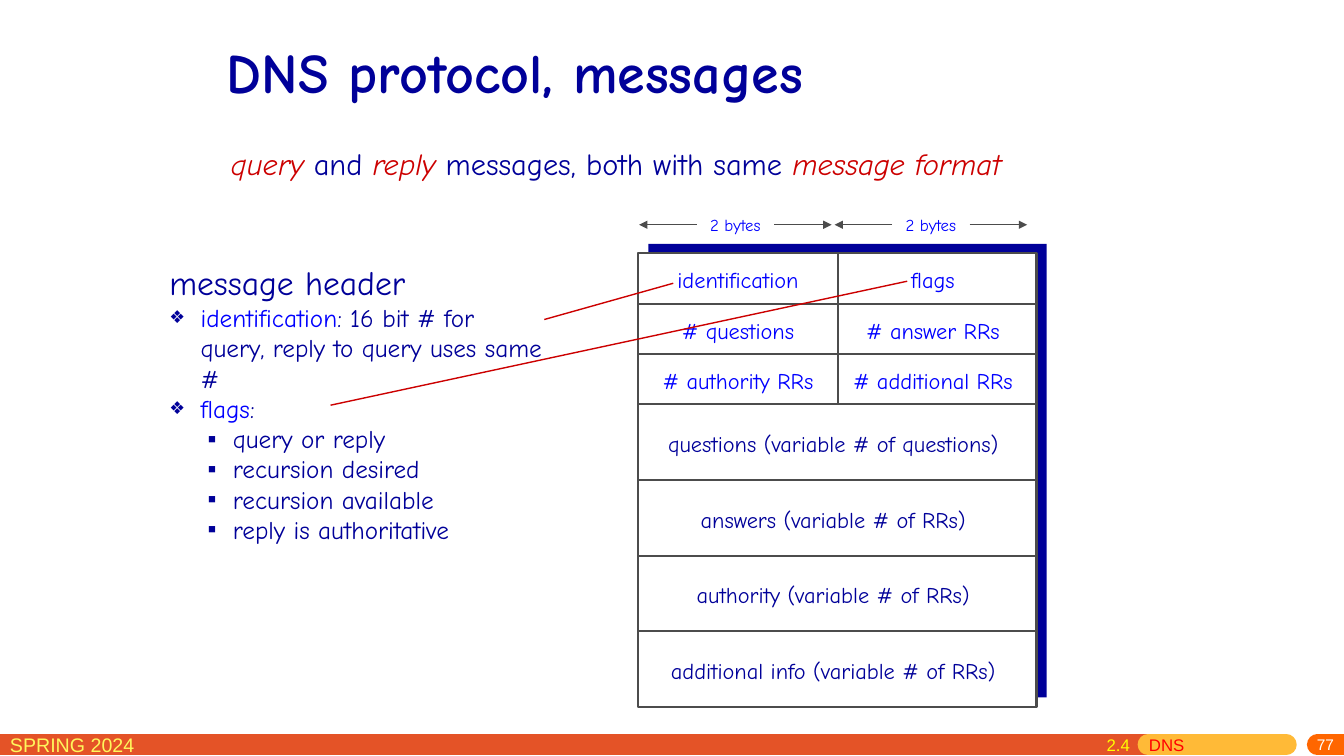
from lxml import etree
from pptx import Presentation
from pptx.dml.color import RGBColor
from pptx.enum.shapes import MSO_CONNECTOR as Connector, MSO_SHAPE as Shape
from pptx.enum.text import MSO_ANCHOR as Anchor, MSO_AUTO_SIZE as AutoSize, PP_ALIGN as Align
from pptx.oxml.ns import qn
from pptx.util import Inches, Pt

NAVY = RGBColor(0x00, 0x00, 0x99)
BLUE = RGBColor(0x00, 0x00, 0xFF)
RED = RGBColor(0xCC, 0x00, 0x00)
BRIGHT_RED = RGBColor(0xFF, 0x00, 0x00)
GRAY = RGBColor(0x4C, 0x4C, 0x4C)
WHITE = RGBColor(0xFF, 0xFF, 0xFF)
YELLOW = RGBColor(0xFF, 0xFF, 0x00)
PALE_YELLOW = RGBColor(0xFF, 0xF6, 0x5C)
BRICK = RGBColor(0xE4, 0x53, 0x27)
AMBER = RGBColor(0xFF, 0xBA, 0x37)
ORANGE = RGBColor(0xFF, 0x66, 0x00)

COLUMNS, ROWS = 40, 30
TABLE_LEFT, TABLE_MIDDLE, TABLE_RIGHT = 19, 24.93, 30.85
LABEL_RIGHT = 30.6
TABLE_TOP = 10.05
FOOTER_ROW = 29.55


def add_element(parent, tag, **attributes):
    return etree.SubElement(parent, qn(tag), {key: str(value) for key, value in attributes.items()})


def add_text(paragraph, text, color=NAVY, size=16, font="Comic Neue", bold=False, italic=False):
    run = paragraph.add_run()
    run.text = text
    run.font.name, run.font.size = font, Pt(size)
    run.font.bold, run.font.italic = bold, italic
    run.font.color.rgb = color


def set_bullet(paragraph, character, margin, hanging, percent=100):
    """Give the paragraph a navy bullet; margin and hanging are in inches."""
    properties = paragraph._p.get_or_add_pPr()
    properties.set("marL", str(Inches(margin)))
    properties.set("indent", str(-Inches(hanging)))
    if not character:
        add_element(properties, "a:buNone")
        return
    color = add_element(properties, "a:buClr")
    add_element(color, "a:srgbClr", val=NAVY)
    add_element(properties, "a:buSzPct", val=percent * 1000)
    add_element(properties, "a:buChar", char=character)


class GridSlide:
    """Places elements on a slide, with lengths in grid columns and rows."""

    def __init__(self, presentation):
        self.column = presentation.slide_width / COLUMNS
        self.row = presentation.slide_height / ROWS
        self.slide = presentation.slides.add_slide(presentation.slide_layouts[3])

    def x(self, columns):
        return round(columns * self.column)

    def y(self, rows):
        return round(rows * self.row)

    def placeholder(self, index, left, top, width, height, anchor=Anchor.TOP):
        shape = self.slide.placeholders[index]
        shape.left, shape.top = self.x(left), self.y(top)
        shape.width, shape.height = self.x(width), self.y(height)
        frame = shape.text_frame
        frame.auto_size, frame.word_wrap = AutoSize.NONE, True
        frame.vertical_anchor = anchor
        return frame

    def label(self, text, left, middle, right, height=1.5, align=Align.CENTER, inset=0, **style):
        """Add a text box centred on the row given as middle."""
        box = self.slide.shapes.add_textbox(self.x(left), self.y(middle - height / 2),
                                            self.x(right - left), self.y(height))
        frame = box.text_frame
        frame.word_wrap, frame.vertical_anchor = True, Anchor.MIDDLE
        frame.margin_top = frame.margin_bottom = 0
        frame.margin_left = frame.margin_right = Inches(inset)
        paragraph = frame.paragraphs[0]
        paragraph.alignment = align
        add_text(paragraph, text, **style)
        return paragraph

    def line(self, start, end, color=GRAY, width=1.5, arrow=False, rounded=False):
        connector = self.slide.shapes.add_connector(
            Connector.STRAIGHT, self.x(start[0]), self.y(start[1]), self.x(end[0]), self.y(end[1]))
        connector.line.color.rgb, connector.line.width = color, Pt(width)
        outline = connector.line._get_or_add_ln()
        if rounded:
            outline.set("cap", "rnd")
        if arrow:
            add_element(outline, "a:tailEnd", type="triangle")
        add_element(connector._element.spPr, "a:effectLst")

    def rectangle(self, left, top, right, bottom, fill, outline=None):
        shape = self.slide.shapes.add_shape(Shape.RECTANGLE, self.x(left), self.y(top),
                                            self.x(right - left), self.y(bottom - top))
        shape.shadow.inherit = False
        shape.fill.solid()
        shape.fill.fore_color.rgb = fill
        if outline is None:
            shape.line.fill.background()
        else:
            shape.line.color.rgb, shape.line.width = outline, Pt(1.5)


def add_footer(grid):
    for start, end, color in ((0, 34.17, BRICK), (34.17, 38.28, AMBER), (39.21, 40, ORANGE)):
        grid.line((start, FOOTER_ROW), (end, FOOTER_ROW), color, width=15, rounded=True)
    footer = {"height": 0.9, "inset": 0.1, "font": "Arial"}
    grid.label("SPRING 2024", 0, FOOTER_ROW, 7, align=Align.LEFT, size=14, color=PALE_YELLOW, **footer)
    grid.label("77", 38.8, FOOTER_ROW, 40, align=Align.RIGHT, size=11, color=WHITE, **footer)
    section = grid.label("2.4\t", 32.64, FOOTER_ROW, 38.6, align=Align.LEFT, size=12, color=YELLOW, **footer)
    add_text(section, "DNS", BRIGHT_RED, 12, "Arial")
    tabs = add_element(section._p.get_or_add_pPr(), "a:tabLst")
    add_element(tabs, "a:tab", pos=Inches(0.42), algn="l")


def add_headings(grid):
    title = grid.placeholder(0, 6.45, 0.96, 25.5, 3.76, Anchor.MIDDLE).paragraphs[0]
    title.alignment = Align.LEFT
    add_text(title, "DNS protocol, messages", size=40, bold=True)

    summary = grid.placeholder(1, 6.57, 5.84, 25.65, 2.24).paragraphs[0]
    summary.line_spacing, summary.space_before = 0.8, Pt(0)
    set_bullet(summary, None, 0, 0)
    for text, emphasized in (("query ", True), ("and ", False), ("reply", True),
                             (" messages, both with same ", False), ("message format", True)):
        add_text(summary, text, RED if emphasized else NAVY, 21.7, italic=emphasized)


def add_header_notes(grid):
    frame = grid.placeholder(2, 4.74, 10.2, 11.73, 16.8)
    heading = frame.paragraphs[0]
    heading.space_before = Pt(0)
    set_bullet(heading, None, 0.38, 0.38)
    add_text(heading, "message header", size=24)
    notes = [("identification", ": 16 bit # for query, reply to query uses same #"), ("flags", ":")]
    notes += [("", text) for text in ("query or reply", "recursion desired",
                                      "recursion available", "reply is authoritative")]
    for term, text in notes:
        paragraph = frame.add_paragraph()
        paragraph.space_before = Pt(0)
        if term:
            set_bullet(paragraph, "❖", 0.31, 0.31, percent=70)
            add_text(paragraph, term, BLUE, 18)
        else:
            paragraph.level = 1
            set_bullet(paragraph, "▪", 0.63, 0.25)
        add_text(paragraph, text, size=18)


def add_message_format(grid):
    fields = (("identification", "flags"), ("# questions", "# answer RRs"),
              ("# authority RRs", "# additional RRs"), ("questions (variable # of questions)",),
              ("answers (variable # of RRs)",), ("authority (variable # of RRs)",),
              ("additional info (variable # of RRs)",))
    header_height, section_height = 2, 3
    header_bottom = TABLE_TOP + 3 * header_height
    bottom = header_bottom + 4 * section_height
    grid.rectangle(TABLE_LEFT + 0.3, TABLE_TOP - 0.37, TABLE_RIGHT + 0.3, bottom - 0.37, NAVY)
    grid.rectangle(TABLE_LEFT, TABLE_TOP, TABLE_RIGHT, bottom, WHITE, GRAY)
    grid.line((TABLE_MIDDLE, TABLE_TOP), (TABLE_MIDDLE, header_bottom))

    top = TABLE_TOP
    for names in fields:
        is_header = len(names) == 2
        height = header_height if is_header else section_height
        if top > TABLE_TOP:
            grid.line((TABLE_LEFT, top), (TABLE_RIGHT, top))
        edges = (TABLE_LEFT, TABLE_MIDDLE, LABEL_RIGHT) if is_header else (TABLE_LEFT, LABEL_RIGHT)
        for name, left, right in zip(names, edges, edges[1:]):
            grid.label(name, left, top + height / 2 + 0.05, right, color=BLUE if is_header else NAVY)
        top += height

    grid.line((16.2, 12.68), (20.04, 11.24), RED, 1)
    grid.line((9.84, 16.08), (27, 11.16), RED, 1)


def add_byte_widths(grid):
    middle = 8.92
    for left in (19.02, 24.84):
        label_left, label_right, right = left + 1.71, left + 4.02, left + 5.73
        grid.label("2 bytes", label_left, middle, label_right, height=1.2, size=12, color=BLUE)
        grid.line((label_right, middle), (right, middle), width=0.75, arrow=True)
        grid.line((label_left, middle), (left, middle), width=0.75, arrow=True)


def main():
    presentation = Presentation()
    presentation.slide_width, presentation.slide_height = Inches(13.33), Inches(7.5)
    grid = GridSlide(presentation)
    for add_part in (add_footer, add_headings, add_header_notes, add_message_format, add_byte_widths):
        add_part(grid)
    presentation.save("out.pptx")


if __name__ == "__main__":
    main()
